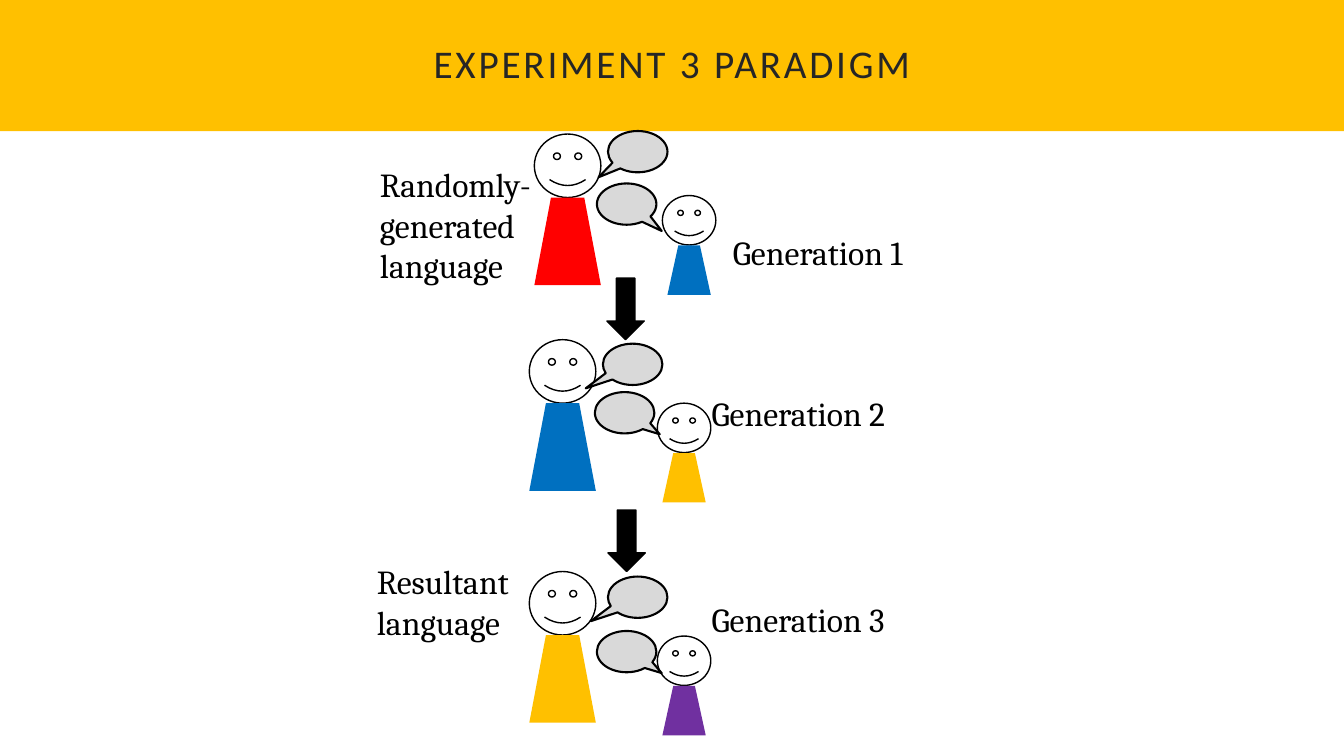
import pptx
import pptx.util
import pptx.dml.color
import pptx.enum.shapes
import pptx.enum.text

RGB = pptx.dml.color.RGBColor
GOLD = RGB(0xFF, 0xC0, 0x00)
RED = RGB(0xFF, 0x00, 0x00)
BLUE = RGB(0x00, 0x70, 0xC0)
PURPLE = RGB(0x70, 0x30, 0xA0)
GRAY = RGB(0xD9, 0xD9, 0xD9)
DARK = RGB(0x26, 0x26, 0x26)
BLACK = RGB(0x00, 0x00, 0x00)
KIND = pptx.enum.shapes.MSO_SHAPE
TEXT = pptx.enum.text

deck = pptx.Presentation()
deck.slide_width = pptx.util.Inches(13.33)
deck.slide_height = pptx.util.Inches(7.5)
col = deck.slide_width / 133.3
row = deck.slide_height / 75
slide = deck.slides.add_slide(deck.slide_layouts[5])


def cell(x, y, wide, high):
    return round(x * col), round(y * row), round(wide * col), round(high * row)


def draw(kind, box, fill, line=0, bends=()):
    shape = slide.shapes.add_shape(kind, *cell(*box))
    shape.shadow.inherit = False
    if fill is None:
        shape.fill.background()
    else:
        shape.fill.solid()
        shape.fill.fore_color.rgb = fill
    if line:
        shape.line.color.rgb = BLACK
        shape.line.width = pptx.util.Pt(line)
    else:
        shape.line.fill.background()
    for i, bend in enumerate(bends):
        shape.adjustments[i] = bend


title = slide.shapes.title
title.left, title.top, title.width, title.height = cell(0, 0, 133.3, 13)
title.fill.solid()
title.fill.fore_color.rgb = GOLD
frame = title.text_frame
frame.auto_size = TEXT.MSO_AUTO_SIZE.NONE
frame.word_wrap = True
frame.vertical_anchor = TEXT.MSO_ANCHOR.MIDDLE
frame.margin_left = frame.margin_right = round(2 * col)
frame.margin_top = frame.margin_bottom = round(2 * row)
para = frame.paragraphs[0]
para.alignment = TEXT.PP_ALIGN.CENTER
para.line_spacing = 0.9
run = para.add_run()
run.text = "EXPERIMENT 3 PARADIGM"
run.font.size = pptx.util.Pt(28)
run.font.name = "Calibri"
run.font.color.rgb = DARK
run.font._element.set("spc", "200")

labels = [
    ("Randomly-generated language", 36.7, 15.8, 18, 13.1),
    ("Generation 1", 71.7, 22.5, 31.7, 5),
    ("Generation 2", 69.6, 38.5, 31.7, 5),
    ("Generation 3", 69.6, 58.9, 31.7, 5),
    ("Resultant language", 36.4, 55.2, 16.6, 9.1),
]
for words, *box in labels:
    frame = slide.shapes.add_textbox(*cell(*box)).text_frame
    frame.word_wrap = True
    frame.auto_size = TEXT.MSO_AUTO_SIZE.SHAPE_TO_FIT_TEXT
    run = frame.paragraphs[0].add_run()
    run.text = words
    run.font.size = pptx.util.Pt(24)
    run.font.name = "Cambria"
    run.font.color.rgb = BLACK

people = [
    (53, 13.3, 19.4, RED, BLUE),
    (52.5, 33.7, 40, BLUE, GOLD),
    (52.5, 56.7, 63.1, GOLD, PURPLE),
]
for x, top, low, adult, child in people:
    draw(KIND.SMILEY_FACE, (x, top, 6.6, 6.3), None, 1)
    draw(KIND.SMILEY_FACE, (x + 12.7, low, 5.3, 4.9), None, 1)
    draw(KIND.TRAPEZOID, (x, top + 6.3, 6.6, 8.7), adult)
    draw(KIND.TRAPEZOID, (x + 13.2, low + 4.95, 4.3, 4.9), child)

for x, y in [(60.2, 27.6), (60.3, 50.6)]:
    draw(KIND.DOWN_ARROW, (x, y, 3.7, 6.1), BLACK, 1)

speech = [
    (59.2, 18.2, 0.59, 0.65),
    (60.3, 13, -0.66, 0.62),
    (59.8, 34.1, -0.79, 0.58),
    (59, 38.9, 0.59, 0.52),
    (60.3, 57.2, -0.79, 0.58),
    (59.2, 62.6, 0.59, 0.52),
]
for x, y, *tip in speech:
    draw(KIND.OVAL_CALLOUT, (x, y, 5.9, 4.1), GRAY, 1.5, tip)

deck.save("out.pptx")
